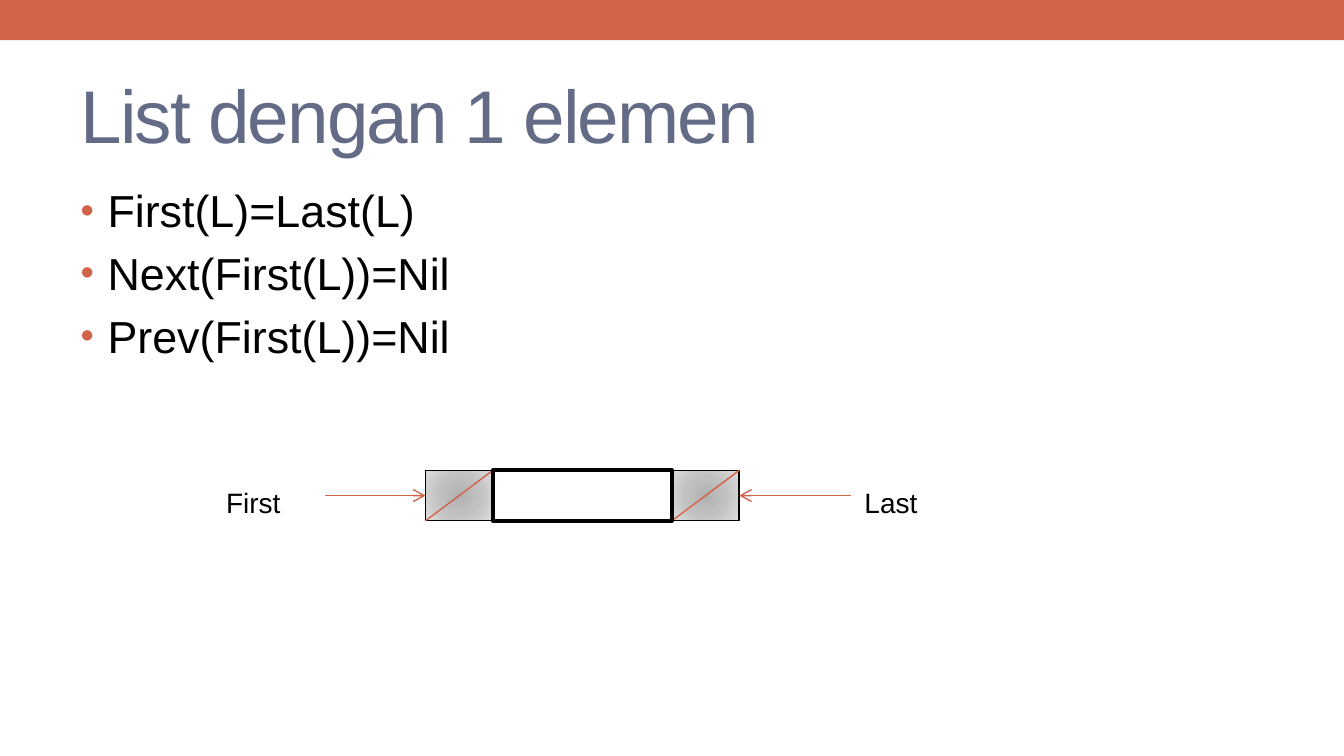
"""Build a slide that explains a doubly linked list with one element."""
from lxml.etree import SubElement
from pptx import Presentation
from pptx.dml.color import RGBColor
from pptx.enum.shapes import MSO_CONNECTOR as LINK, MSO_SHAPE as SHAPE
from pptx.enum.text import MSO_ANCHOR as ANCHOR, MSO_AUTO_SIZE as FIT, PP_ALIGN as ALIGN
from pptx.oxml.ns import qn
from pptx.util import Pt

ORANGE = RGBColor(0xD1, 0x63, 0x49)
SLATE = RGBColor(0x64, 0x6B, 0x86)
BLACK = RGBColor(0, 0, 0)
WHITE = RGBColor(255, 255, 255)
GREYS = [(0, "B1B1B1"), (45, "C0C0C0"), (100, "DDDDDD")]

HEADING = "List dengan 1 elemen"
RULES = ["First(L)=Last(L)", "Next(First(L))=Nil", "Prev(First(L))=Nil"]
POINTERS = [("First", 114, 54, 174, 228), ("Last", 456, 60, 456, 396)]

SLIDE_WIDTH, SLIDE_HEIGHT, BAND_HEIGHT = 720, 405, 21.6
NODE_LEFT, NODE_TOP, NODE_HEIGHT = 228, 252, 27
LINK_WIDTH, INFO_WIDTH = 36, 96
INDENT = 14.4

HEADING_FONT = {"name": "Arial", "size": Pt(40)}
RULE_FONT = {"name": "Arial", "size": Pt(24)}
LABEL_FONT = {"name": "Arial", "size": Pt(15)}


def add_child(parent, tag, **attributes):
    return SubElement(parent, qn(tag), {key: str(value) for key, value in attributes.items()})


def place(holder, *box):
    for side, value in zip(("left", "top", "width", "height"), box):
        setattr(holder, side, Pt(value))


def frame_of(holder, anchor):
    frame = holder.text_frame
    layout = {"word_wrap": True, "auto_size": FIT.NONE, "vertical_anchor": anchor}
    for key, value in layout.items():
        setattr(frame, key, value)
    return frame


def write(paragraph, text, font, color):
    paragraph.alignment = ALIGN.LEFT
    run = paragraph.add_run()
    run.text = text
    for key, value in font.items():
        setattr(run.font, key, value)
    run.font.color.rgb = color
    return run


def space_before(paragraph):
    properties = paragraph._p.get_or_add_pPr()
    add_child(add_child(properties, "a:spcBef"), "a:spcPct", val=20000)
    return properties


def add_bullet(properties):
    properties.set("marL", str(Pt(INDENT)))
    properties.set("indent", str(-Pt(INDENT)))
    add_child(add_child(properties, "a:buClr"), "a:srgbClr", val=ORANGE)
    add_child(properties, "a:buSzPct", val=85000)
    add_child(properties, "a:buFont", typeface="Arial")
    add_child(properties, "a:buChar", char="•")


def add_box(slide, left, top, width, height, color, line_width=0):
    box = slide.shapes.add_shape(SHAPE.RECTANGLE, Pt(left), Pt(top), Pt(width), Pt(height))
    box.shadow.inherit = False
    box.fill.solid()
    box.fill.fore_color.rgb = color
    if line_width:
        box.line.color.rgb = BLACK
        box.line.width = Pt(line_width)
    else:
        box.line.fill.background()
    return box


def shade(box):
    solid = box._element.spPr.find(qn("a:solidFill"))
    gradient = solid.makeelement(qn("a:gradFill"), {"rotWithShape": "1"})
    stops = add_child(gradient, "a:gsLst")
    for position, grey in GREYS:
        add_child(add_child(stops, "a:gs", pos=position * 1000), "a:srgbClr", val=grey)
    circle = add_child(gradient, "a:path", path="circle")
    add_child(circle, "a:fillToRect", l=100000, t=100000, r=100000, b=100000)
    solid.getparent().replace(solid, gradient)


def add_line(slide, x1, y1, x2, y2, arrow=False):
    line = slide.shapes.add_connector(LINK.STRAIGHT, Pt(x1), Pt(y1), Pt(x2), Pt(y2))
    line.line.color.rgb = ORANGE
    line.line.width = Pt(0.75)
    properties = line._element.spPr
    if arrow:
        add_child(properties.find(qn("a:ln")), "a:tailEnd", type="arrow")
    add_child(properties, "a:effectLst")


def add_text(slide):
    title, body = slide.placeholders
    place(title, 36, 31.5, 648, 58.5)
    heading = write(frame_of(title, ANCHOR.MIDDLE).paragraphs[0], HEADING, HEADING_FONT, SLATE)
    heading.font._element.set("spc", "-100")
    place(body, 36, 94.5, 648, 288)
    rules = frame_of(body, ANCHOR.TOP)
    for index, rule in enumerate(RULES):
        paragraph = rules.add_paragraph() if index else rules.paragraphs[0]
        write(paragraph, rule, RULE_FONT, BLACK)
        add_bullet(space_before(paragraph))


def add_node(slide):
    info_left = NODE_LEFT + LINK_WIDTH
    bottom = NODE_TOP + NODE_HEIGHT
    for left in (NODE_LEFT, info_left + INFO_WIDTH):
        shade(add_box(slide, left, NODE_TOP, LINK_WIDTH, NODE_HEIGHT, WHITE, 0.75))
        add_line(slide, left + LINK_WIDTH, NODE_TOP, left, bottom)
    add_box(slide, info_left, NODE_TOP, INFO_WIDTH, NODE_HEIGHT, WHITE, 2.08)


def add_pointers(slide):
    middle = NODE_TOP + NODE_HEIGHT / 2
    for name, left, width, start, end in POINTERS:
        label = slide.shapes.add_textbox(Pt(left), Pt(256.5), Pt(width), Pt(22.5))
        paragraph = frame_of(label, ANCHOR.TOP).paragraphs[0]
        write(paragraph, name, LABEL_FONT, BLACK)
        space_before(paragraph)
        add_line(slide, start, middle, end, middle, arrow=True)


def main():
    deck = Presentation()
    deck.slide_width, deck.slide_height = Pt(SLIDE_WIDTH), Pt(SLIDE_HEIGHT)
    slide = deck.slides.add_slide(deck.slide_layouts[1])
    add_box(slide, 0, 0, SLIDE_WIDTH, BAND_HEIGHT, ORANGE)
    add_text(slide)
    add_node(slide)
    add_pointers(slide)
    deck.save("out.pptx")


if __name__ == "__main__":
    main()
